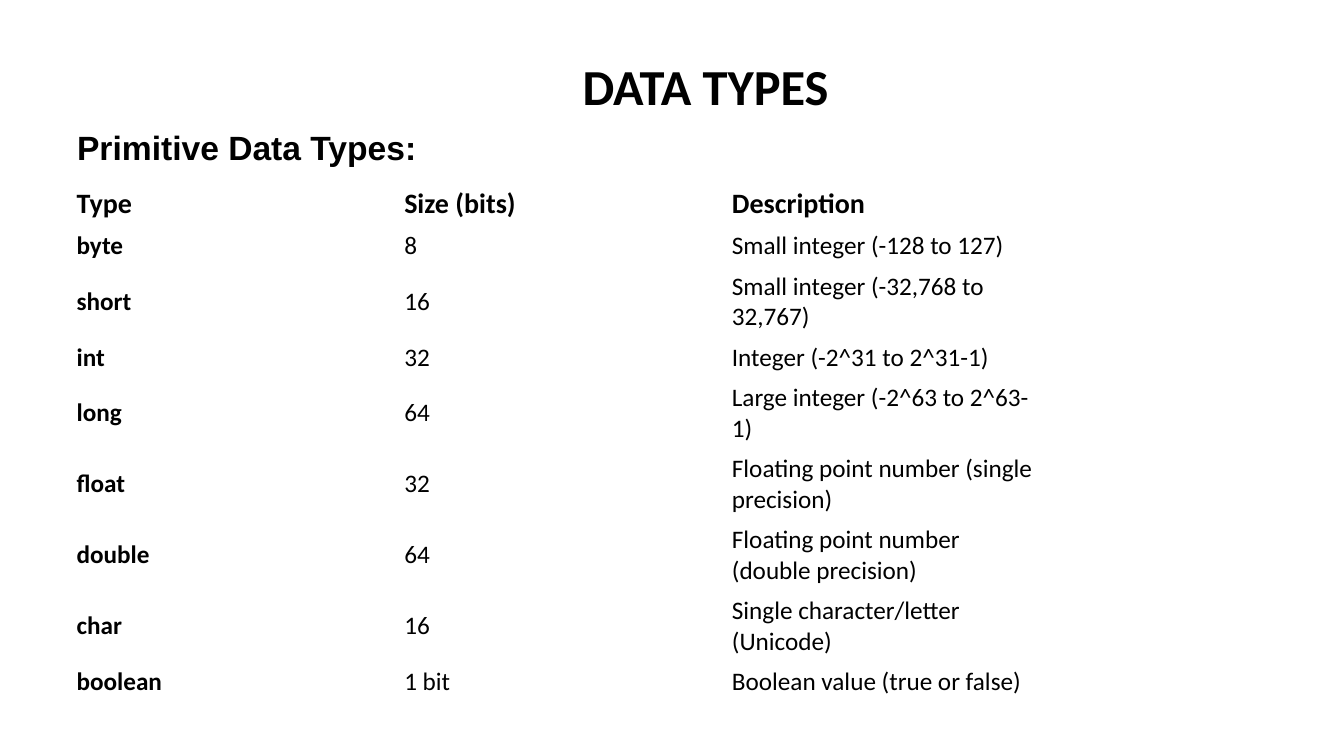
import pptx
import pptx.dml.color
import pptx.enum.text
import pptx.util

BLACK = pptx.dml.color.RGBColor(0x00, 0x00, 0x00)
WHITE = pptx.dml.color.RGBColor(0xFF, 0xFF, 0xFF)

HEADERS = ("Type", "Size (bits)", "Description")
PRIMITIVES = [
    ("byte", "8", "Small integer (-128 to 127)"),
    ("short", "16", "Small integer (-32,768 to 32,767)"),
    ("int", "32", "Integer (-2^31 to 2^31-1)"),
    ("long", "64", "Large integer (-2^63 to 2^63-1)"),
    ("float", "32", "Floating point number (single precision)"),
    ("double", "64", "Floating point number (double precision)"),
    ("char", "16", "Single character/letter (Unicode)"),
    ("boolean", "1 bit", "Boolean value (true or false)"),
]

# Row heights in percent of the slide height
HEADER_ROW, ONE_LINE_ROW, TWO_LINE_ROW = 5.87, 5.33, 9.4
LINE_CAPACITY = 30  # characters that fit on one description line


class SlideBuilder:
    """Holds the style and the slide; lengths are percent of the slide size."""

    body_font = "Calibri"
    heading_font = "Arial"

    def __init__(self, presentation):
        self.width = presentation.slide_width
        self.height = presentation.slide_height
        self.slide = presentation.slides.add_slide(presentation.slide_layouts[6])
        self.slide.background.fill.solid()
        self.slide.background.fill.fore_color.rgb = WHITE

    def across(self, percent):
        return round(self.width * percent / 100)

    def down(self, percent):
        return round(self.height * percent / 100)

    def frame(self, left, top, width, height):
        return self.across(left), self.down(top), self.across(width), self.down(height)

    def run(self, paragraph, text, size, bold, font):
        run = paragraph.add_run()
        run.text = text
        run.font.name = font
        run.font.size = pptx.util.Pt(size)
        run.font.bold = bold
        run.font.color.rgb = BLACK

    def heading(self, text, box, size, font, wrap):
        text_frame = self.slide.shapes.add_textbox(*self.frame(*box)).text_frame
        text_frame.word_wrap = wrap
        text_frame.auto_size = pptx.enum.text.MSO_AUTO_SIZE.SHAPE_TO_FIT_TEXT
        self.run(text_frame.paragraphs[0], text, size, True, font)

    def table(self, rows, left, top, column_width, row_heights):
        box = self.frame(left, top, column_width * len(rows[0]), sum(row_heights))
        table = self.slide.shapes.add_table(len(rows), len(rows[0]), *box).table
        table.first_row = table.horz_banding = False
        for column in table.columns:
            column.width = self.across(column_width)
        for row_index, (values, height) in enumerate(zip(rows, row_heights)):
            table.rows[row_index].height = self.down(height)
            is_header = row_index == 0
            for column_index, value in enumerate(values):
                cell = table.cell(row_index, column_index)
                cell.fill.background()
                cell.vertical_anchor = pptx.enum.text.MSO_ANCHOR.MIDDLE
                self.run(cell.text_frame.paragraphs[0], value,
                         20 if is_header else 18,
                         is_header or column_index == 0, self.body_font)


def main():
    presentation = pptx.Presentation()
    presentation.slide_width = pptx.util.Inches(13.33)
    presentation.slide_height = pptx.util.Inches(7.5)
    builder = SlideBuilder(presentation)

    # Headings
    builder.heading("DATA TYPES", (42.61, 6.67, 20.03, 9.47), 36,
                    builder.body_font, wrap=False)
    builder.heading("Primitive Data Types:", (5, 16.13, 85.67, 6.67), 24,
                    builder.heading_font, wrap=True)

    # Table of primitive types; long descriptions take two lines
    row_heights = [HEADER_ROW] + [
        TWO_LINE_ROW if len(description) > LINE_CAPACITY else ONE_LINE_ROW
        for _, _, description in PRIMITIVES
    ]
    builder.table([HEADERS] + PRIMITIVES, 4.95, 24, 24.38, row_heights)

    presentation.save("out.pptx")


if __name__ == "__main__":
    main()
